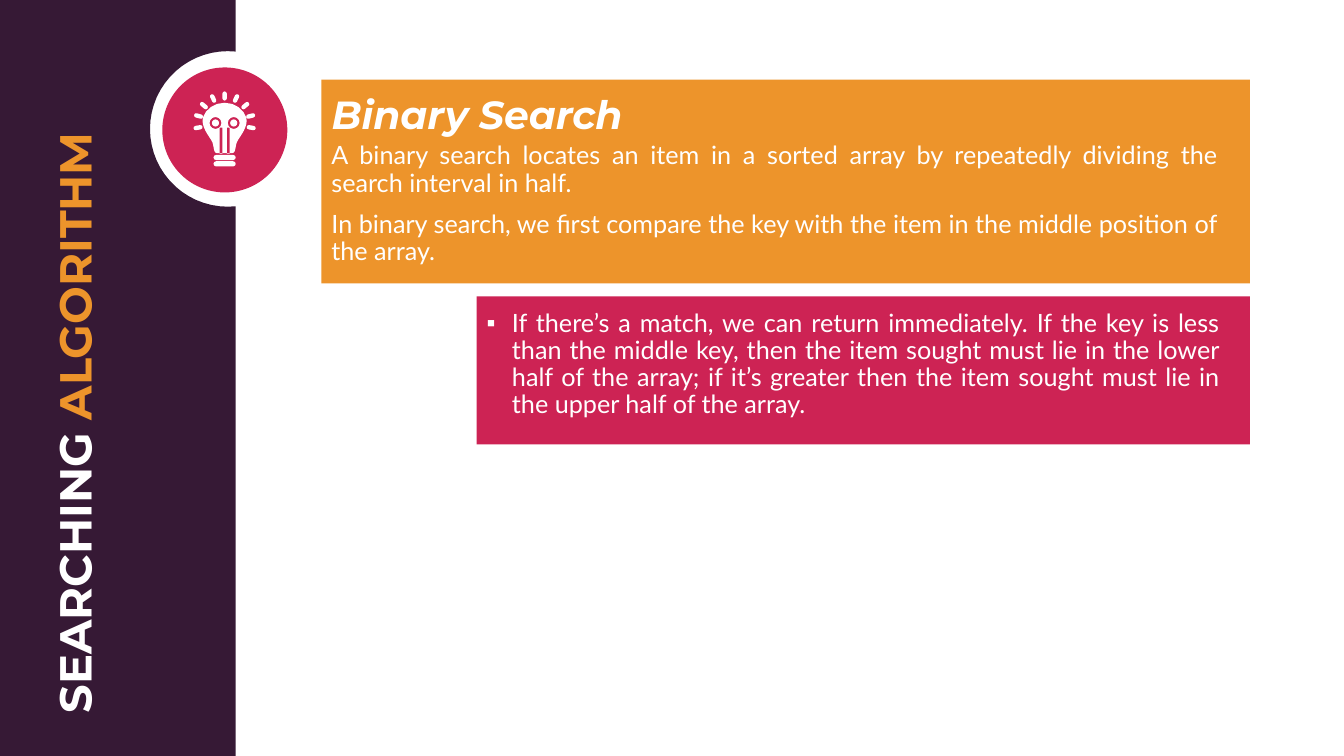
from math import acos, cos, pi, radians, sin
from lxml.etree import SubElement
from pptx import Presentation
from pptx.dml.color import RGBColor
from pptx.enum.shapes import MSO_SHAPE
from pptx.enum.text import MSO_ANCHOR, MSO_AUTO_SIZE, PP_ALIGN
from pptx.oxml.ns import qn
from pptx.util import Cm, Pt

PURPLE = RGBColor(0x36, 0x19, 0x35)
ORANGE = RGBColor(0xED, 0x94, 0x2B)
PINK = RGBColor(0xCD, 0x23, 0x54)
WHITE = RGBColor(0xFF, 0xFF, 0xFF)

TITLE = [[("Binary Search", WHITE)]]
SIDE_TITLE = [[("SEARCHING", WHITE), (" ALGORITHM", ORANGE)]]
DEFINITION = [
    [("A binary search locates an item in a sorted array by repeatedly "
      "dividing the search interval in half.", WHITE)],
    [("In binary search, we first compare the key with the item in the "
      "middle position of the array.", WHITE)],
]
EXPLANATION = [
    [("If there’s a match, we can return immediately. If the key is less than "
      "the middle key, then the item sought must lie in the lower half of the "
      "array; if it’s greater then the item sought must lie in the upper half "
      "of the array.", WHITE)],
]

PANEL_WIDTH, PANEL_HEIGHT = 5.94, 19.05
NOTCH_X, NOTCH_Y, NOTCH_RADIUS = 5.74, 3.25, 1.96
BULB_X, BULB_TOP = 5.66, 2.59
BULB_CURVES = [
    [(0, 0), (0.28, 0), (0.48, 0.18), (0.54, 0.36)],
    [(0.54, 0.36), (0.58, 0.48), (0.54, 0.59), (0.48, 0.71)],
    [(0.48, 0.71), (0.43, 0.81), (0.36, 0.89), (0.31, 0.99)],
    [(0.31, 0.99), (0.28, 1.07), (0.28, 1.14), (0.26, 1.2)],
    [(0.26, 1.2), (0.25, 1.25), (0.22, 1.27), (0.18, 1.27)],
]
RING_OFFSET, RING_Y, RING_RADII = 0.23, 3.1, (0.15, 0.09)
STEM_OFFSET, STEM_WIDTH, STEM_TOP, STEM_BOTTOM = 0.09, 0.07, 3.22, 3.87
RAY_CENTRE_Y, RAY_DISTANCE, RAY_STEP = 3.1, 0.68, 25
RAY_WIDTH, RAY_LENGTH = 0.11, 0.23
BASE_WIDTH, BASE_HEIGHT, BASE_MIDDLES = 0.56, 0.13, (3.97, 4.13)


def finish(shape, fill):
    shape.shadow.inherit = False
    shape.fill.solid()
    shape.fill.fore_color.rgb = fill
    shape.line.fill.background()


def add_block(slide, kind, left, top, width, height, fill):
    shape = slide.shapes.add_shape(kind, Cm(left), Cm(top), Cm(width), Cm(height))
    finish(shape, fill)


def add_outline(slide, contours, fill):
    contours = [[(Cm(x), Cm(y)) for x, y in contour] for contour in contours]
    builder = slide.shapes.build_freeform(*contours[0][0])
    for index, contour in enumerate(contours):
        if index:
            builder.move_to(*contour[0])
        builder.add_line_segments(contour[1:], close=True)
    finish(builder.convert_to_shape(), fill)


def write(box, place, paragraphs, size, font="Lato", bold=False, italic=False,
          align=PP_ALIGN.LEFT, spacing=0.9, bullet=None):
    box.left, box.top, box.width, box.height = (Cm(value) for value in place)
    frame = box.text_frame
    frame.word_wrap = True
    frame.auto_size = MSO_AUTO_SIZE.NONE
    frame.vertical_anchor = MSO_ANCHOR.TOP
    for index, spans in enumerate(paragraphs):
        para = frame.add_paragraph() if index else frame.paragraphs[0]
        para.alignment = align
        para.line_spacing = spacing
        para.space_before = Pt(10 if index else 0)
        if bullet:
            properties = para._p.get_or_add_pPr()
            properties.set("marL", str(Cm(0.64)))
            properties.set("indent", str(-Cm(0.64)))
            SubElement(properties, qn("a:buFont")).set("typeface", "Arial")
            SubElement(properties, qn("a:buChar")).set("char", bullet)
        for text, color in spans:
            span = para.add_run()
            span.text = text
            span.font.name = font
            span.font.size = Pt(size)
            span.font.bold = bold
            span.font.italic = italic
            span.font.color.rgb = color


def add_text(slide, place, paragraphs, size, **style):
    box = slide.shapes.add_textbox(0, 0, 0, 0)
    write(box, place, paragraphs, size, **style)
    return box


def curve_points(start, first, second, end, steps=4):
    for step in range(steps):
        t = step / steps
        weights = ((1 - t) ** 3, 3 * t * (1 - t) ** 2, 3 * t * t * (1 - t), t ** 3)
        yield tuple(sum(weight * point[axis] for weight, point
                        in zip(weights, (start, first, second, end))) for axis in (0, 1))


def arc(x, y, radius, start, end, steps):
    angles = [start + (end - start) * step / steps for step in range(steps + 1)]
    return [(x + radius * cos(angle), y - radius * sin(angle)) for angle in angles]


def capsule(x, y, length, width, angle):
    reach, radius = (length - width) / 2, width / 2
    points = []
    for turn in (angle, angle + pi):
        points += arc(x + reach * cos(turn), y - reach * sin(turn), radius,
                      turn - pi / 2, turn + pi / 2, 4)
    return points


def add_side_panel(slide):
    start = acos((PANEL_WIDTH - NOTCH_X) / NOTCH_RADIUS)
    notch = arc(NOTCH_X, NOTCH_Y, NOTCH_RADIUS, start, 2 * pi - start, 32)
    add_outline(slide, [[(0, 0), (PANEL_WIDTH, 0), *notch,
                         (PANEL_WIDTH, PANEL_HEIGHT), (0, PANEL_HEIGHT)]], PURPLE)


def add_bulb(slide):
    half = [point for curve in BULB_CURVES for point in curve_points(*curve)]
    half.append(BULB_CURVES[-1][-1])
    right = [(BULB_X + x, BULB_TOP + y) for x, y in half]
    left = [(BULB_X - x, BULB_TOP + y) for x, y in reversed(half[1:])]
    contours = [right + left]
    for side in (-1, 1):
        for radius in RING_RADII:
            contours.append(arc(BULB_X + side * RING_OFFSET, RING_Y, radius, 0, 2 * pi, 12))
        stem_left = BULB_X + side * STEM_OFFSET - STEM_WIDTH / 2
        stem_right = stem_left + STEM_WIDTH
        contours.append([(stem_left, STEM_TOP), (stem_right, STEM_TOP),
                         (stem_right, STEM_BOTTOM), (stem_left, STEM_BOTTOM)])
    for index in range(-4, 5):
        angle = pi / 2 - radians(index * RAY_STEP)
        contours.append(capsule(BULB_X + RAY_DISTANCE * cos(angle),
                                RAY_CENTRE_Y - RAY_DISTANCE * sin(angle),
                                RAY_LENGTH, RAY_WIDTH, angle))
    for middle in BASE_MIDDLES:
        contours.append(capsule(BULB_X, middle, BASE_WIDTH, BASE_HEIGHT, 0))
    add_outline(slide, contours, WHITE)


def main():
    deck = Presentation()
    deck.slide_width, deck.slide_height = Cm(33.86), Cm(PANEL_HEIGHT)
    slide = deck.slides.add_slide(deck.slide_layouts[5])
    add_block(slide, MSO_SHAPE.RECTANGLE, 8.1, 2.01, 23.39, 5.13, ORANGE)
    add_side_panel(slide)
    add_block(slide, MSO_SHAPE.OVAL, 4.09, 1.7, 3.15, 3.15, PINK)
    add_bulb(slide)
    add_text(slide, (8.1, 3.48, 22.83, 1.35), DEFINITION, 18, align=PP_ALIGN.JUSTIFY)
    title = slide.shapes.title
    write(title, (8.1, 2.29, 8.76, 0.94), TITLE, 28, font="Montserrat", bold=True, italic=True)
    slide.shapes._spTree.append(title._element)
    side_title = add_text(slide, (-6.83, 8.71, 17.4, 1.63), SIDE_TITLE, 32,
                          font="Montserrat", bold=True, spacing=1.0)
    side_title.rotation = 270
    add_block(slide, MSO_SHAPE.RECTANGLE, 12.01, 7.47, 19.48, 3.73, PINK)
    add_text(slide, (12.01, 7.7, 18.97, 1.73), EXPLANATION, 18,
             align=PP_ALIGN.JUSTIFY, bullet="▪")
    deck.save("out.pptx")


if __name__ == "__main__":
    main()
